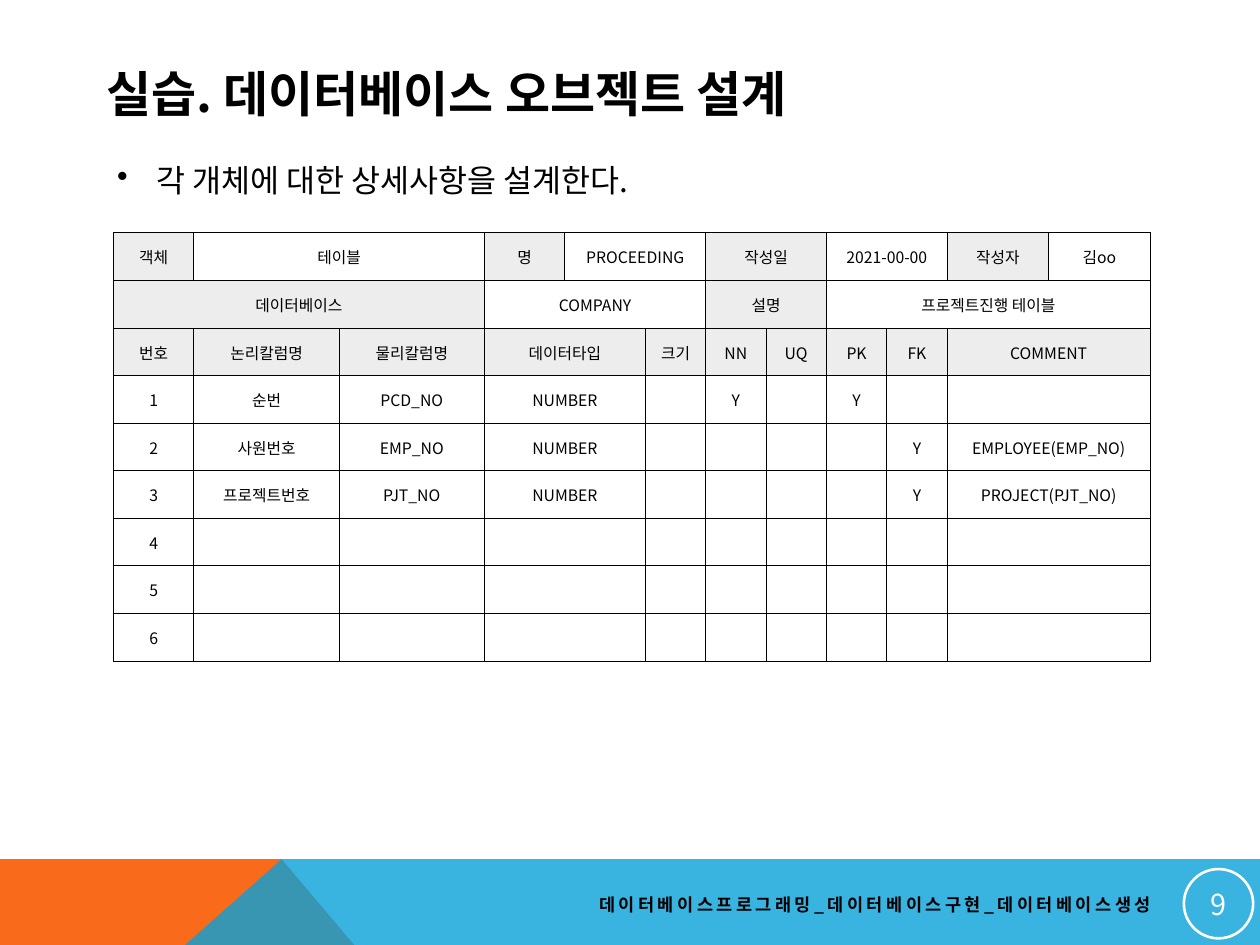
from dataclasses import dataclass

from lxml import etree
from pptx import Presentation
from pptx.dml.color import RGBColor
from pptx.enum import shapes, text
from pptx.oxml.ns import qn
from pptx.util import Pt


@dataclass(frozen=True)
class Theme:
    font: str = "Noto Sans CJK KR"
    black: str = "000000"
    white: str = "FFFFFF"
    label: str = "EDEDED"
    orange: str = "F96A1B"
    blue: str = "08A1D9"
    title_size: float = 28
    body_size: float = 18
    number_size: float = 16.5
    footer_size: float = 10
    table_size: float = 9


@dataclass(frozen=True)
class Box:
    left: float
    top: float
    width: float
    height: float

    def lengths(self):
        return Pt(self.left), Pt(self.top), Pt(self.width), Pt(self.height)


@dataclass(frozen=True)
class Entry:
    """One table cell, with the number of columns it covers."""
    words: str = ""
    span: int = 1
    label: bool = False


@dataclass(frozen=True)
class Band:
    points: tuple
    color: str
    opacity: int = 100


THEME = Theme()
LEFT, CENTER, RIGHT = text.PP_ALIGN.LEFT, text.PP_ALIGN.CENTER, text.PP_ALIGN.RIGHT

BAND_TOP, BAND_BOTTOM, PEAK = 491, 633.6, 160.6
BANDS = (
    Band(((0, BAND_BOTTOM), (0, BAND_TOP), (PEAK, BAND_TOP), (281.5, BAND_BOTTOM)), THEME.orange),
    Band(((0, BAND_BOTTOM), (PEAK, BAND_TOP), (720, BAND_TOP), (720, BAND_BOTTOM)), THEME.blue, 80),
)

COLUMN_WIDTHS = [46, 83, 83, 46, 46] + [34.5] * 5 + [58, 58]
ROW_HEIGHT = 27.2
COLUMN_SPANS = (1, 1, 1, 2, 1, 1, 1, 1, 1, 2)
COLUMN_NAMES = ("번호", "논리칼럼명", "물리칼럼명", "데이터타입", "크기",
                "NN", "UQ", "PK", "FK", "COMMENT")
RECORDS = (
    ("1", "순번", "PCD_NO", "NUMBER", "", "Y", "", "Y", "", ""),
    ("2", "사원번호", "EMP_NO", "NUMBER", "", "", "", "", "Y", "EMPLOYEE(EMP_NO)"),
    ("3", "프로젝트번호", "PJT_NO", "NUMBER", "", "", "", "", "Y", "PROJECT(PJT_NO)"),
    *((str(number),) + ("",) * 9 for number in range(4, 7)),
)


def column_entries(values: tuple, label: bool = False) -> list[Entry]:
    return [Entry(words, span, label) for words, span in zip(values, COLUMN_SPANS)]


TABLE_ROWS = [
    [Entry("객체", 1, True), Entry("테이블", 2), Entry("명", 1, True), Entry("PROCEEDING", 2),
     Entry("작성일", 2, True), Entry("2021-00-00", 2), Entry("작성자", 1, True), Entry("김oo")],
    [Entry("데이터베이스", 3, True), Entry("COMPANY", 3), Entry("설명", 2, True),
     Entry("프로젝트진행 테이블", 4)],
    column_entries(COLUMN_NAMES, label=True),
    *(column_entries(record) for record in RECORDS),
]


def rgb(color: str) -> RGBColor:
    return RGBColor.from_string(color)


def write(paragraph, words: str, size: float, align=LEFT, color: str = THEME.black,
          bold: bool = False, spacing: float = 0) -> None:
    """Fill a paragraph, giving Latin and East Asian letters the same font."""
    paragraph.alignment = align
    font = paragraph.font
    font.name, font.size, font.bold = THEME.font, Pt(size), bold
    font.color.rgb = rgb(color)
    defaults = paragraph._p.pPr.find(qn("a:defRPr"))
    etree.SubElement(defaults, qn("a:ea"), typeface=THEME.font)
    if spacing:
        defaults.set("spc", str(round(spacing * 100)))
    if words:
        paragraph.add_run().text = words
    else:
        etree.SubElement(paragraph._p, qn("a:endParaRPr"), sz=str(round(size * 100)))


def add_band(slide, band: Band) -> None:
    builder = slide.shapes.build_freeform(*band.points[0], scale=Pt(1))
    builder.add_line_segments(band.points[1:], close=True)
    shape = builder.convert_to_shape()
    shape.shadow.inherit = False
    shape.line.fill.background()
    shape.fill.solid()
    shape.fill.fore_color.rgb = rgb(band.color)
    if band.opacity < 100:
        color = shape.fill._xPr.find(qn("a:solidFill"))[0]
        etree.SubElement(color, qn("a:alpha"), val=str(band.opacity * 1000))


def add_text(slide, box: Box, words: str, size: float, wrap: bool = True, **style):
    frame = slide.shapes.add_textbox(*box.lengths()).text_frame
    frame.word_wrap = wrap
    frame.vertical_anchor = text.MSO_ANCHOR.MIDDLE
    write(frame.paragraphs[0], words, size, **style)
    return frame


def add_bullet(paragraph, indent: float) -> None:
    properties = paragraph._p.pPr
    properties.set("marL", str(Pt(indent)))
    properties.set("indent", str(-Pt(indent)))
    bullet = etree.Element(qn("a:buChar"), char="•")
    properties.find(qn("a:defRPr")).addprevious(bullet)


def add_borders(cell) -> None:
    properties = cell._tc.get_or_add_tcPr()
    for side in ("lnL", "lnR", "lnT", "lnB"):
        line = etree.SubElement(properties, qn(f"a:{side}"), w=str(Pt(0.5)))
        fill = etree.SubElement(line, qn("a:solidFill"))
        etree.SubElement(fill, qn("a:srgbClr"), val=THEME.black)


def fill_cell(cell, entry: Entry) -> None:
    cell.vertical_anchor = text.MSO_ANCHOR.MIDDLE
    cell.margin_left = cell.margin_right = cell.margin_top = Pt(0.7)
    cell.margin_bottom = 0
    add_borders(cell)
    if entry.label:
        cell.fill.solid()
        cell.fill.fore_color.rgb = rgb(THEME.label)
    else:
        cell.fill.background()
    write(cell.text_frame.paragraphs[0], entry.words, THEME.table_size, CENTER)


def add_design_table(slide, left: float, top: float) -> None:
    box = Box(left, top, sum(COLUMN_WIDTHS), ROW_HEIGHT * len(TABLE_ROWS))
    table = slide.shapes.add_table(len(TABLE_ROWS), len(COLUMN_WIDTHS), *box.lengths()).table
    table.first_row = table.horz_banding = False
    for column, width in zip(table.columns, COLUMN_WIDTHS):
        column.width = Pt(width)
    for row, entries in enumerate(TABLE_ROWS):
        table.rows[row].height = Pt(ROW_HEIGHT)
        column = 0
        for entry in entries:
            last = column + entry.span - 1
            fill_cell(table.cell(row, column), entry)
            for covered in range(column + 1, last + 1):
                fill_cell(table.cell(row, covered), Entry(label=entry.label))
            if entry.span > 1:
                table.cell(row, column).merge(table.cell(row, last))
            column = last + 1


def add_page_number(slide, box: Box, number: str) -> None:
    circle = slide.shapes.add_shape(shapes.MSO_SHAPE.OVAL, *box.lengths())
    circle.shadow.inherit = False
    circle.fill.background()
    circle.line.color.rgb = rgb(THEME.white)
    circle.line.width = Pt(1.5)
    frame = circle.text_frame
    frame.margin_left = frame.margin_right = frame.margin_top = frame.margin_bottom = Pt(0.7)
    frame.vertical_anchor = text.MSO_ANCHOR.MIDDLE
    write(frame.paragraphs[0], number, THEME.number_size, CENTER, THEME.white)


def main() -> None:
    presentation = Presentation()
    presentation.slide_width, presentation.slide_height = Pt(720), Pt(540)
    slide = presentation.slides.add_slide(presentation.slide_layouts[6])
    for band in BANDS:
        add_band(slide, band)
    add_design_table(slide, 64.8, 133)
    add_page_number(slide, Box(676.5, 496.6, 39.6, 39.6), "9")
    body = add_text(slide, Box(59.8, 88.5, 340, 29), "각 개체에 대한 상세사항을 설계한다.",
                    THEME.body_size, wrap=False)
    body.auto_size = text.MSO_AUTO_SIZE.SHAPE_TO_FIT_TEXT
    body.vertical_anchor = text.MSO_ANCHOR.TOP
    add_bullet(body.paragraphs[0], 22.5)
    add_text(slide, Box(292.3, 506, 372.3, 21.6),
             "데이터베이스프로그래밍_데이터베이스구현_데이터베이스생성",
             THEME.footer_size, align=RIGHT, bold=True, spacing=2)
    add_text(slide, Box(54, 31.7, 592, 43.2), "실습. 데이터베이스 오브젝트 설계",
             THEME.title_size, bold=True)
    presentation.save("out.pptx")


if __name__ == "__main__":
    main()
